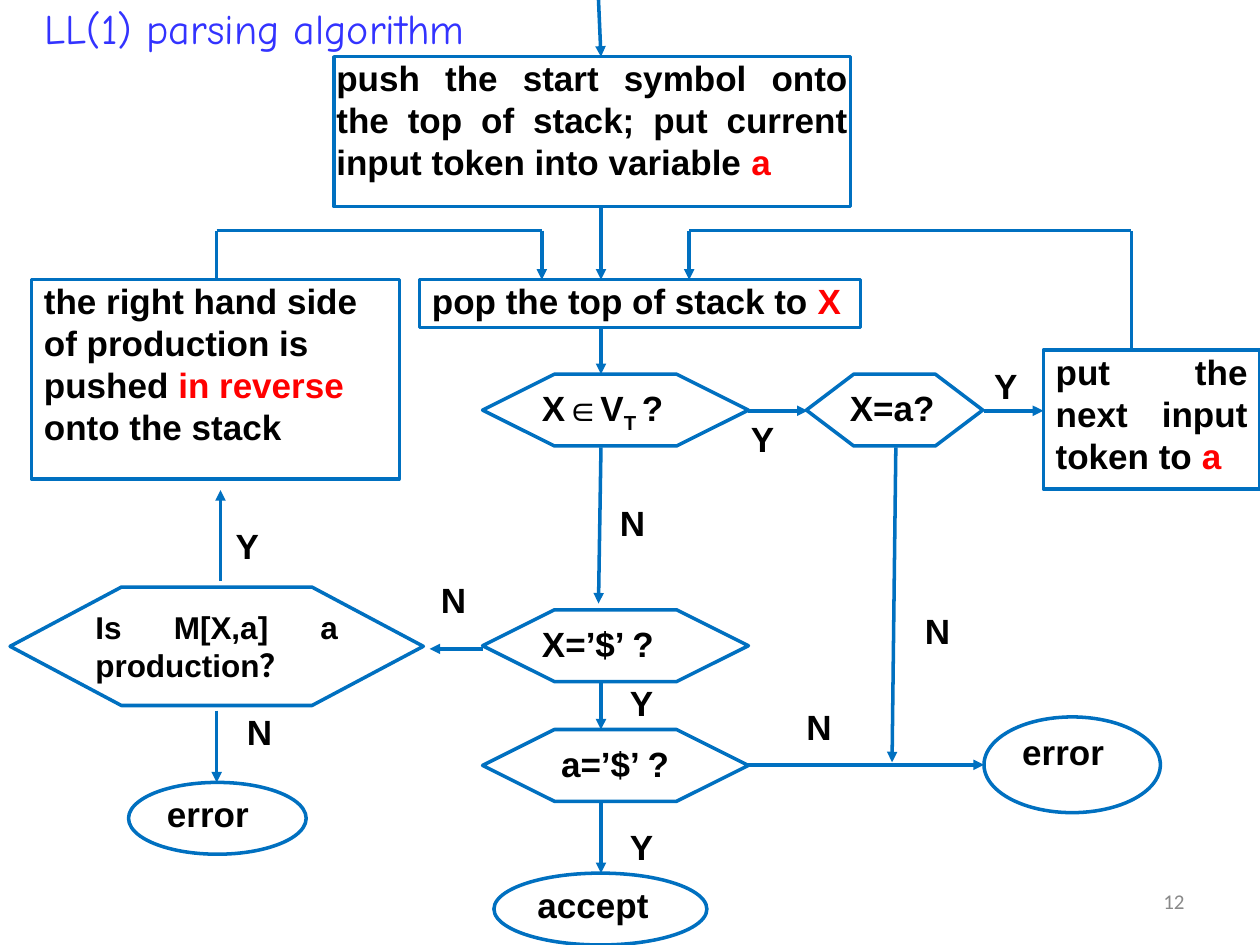
import itertools
from dataclasses import dataclass
from typing import Any

import pptx
import pptx.dml.color
import pptx.enum.shapes
import pptx.enum.text
import pptx.util
from lxml import etree
from pptx.oxml.ns import qn

BLUE = pptx.dml.color.RGBColor(0x00, 0x70, 0xC0)
BLACK = pptx.dml.color.RGBColor(0x00, 0x00, 0x00)
RED = pptx.dml.color.RGBColor(0xFF, 0x00, 0x00)
TITLE_BLUE = pptx.dml.color.RGBColor(0x33, 0x33, 0xFF)
GREY = pptx.dml.color.RGBColor(0x89, 0x89, 0x89)

SHAPE = pptx.enum.shapes.MSO_SHAPE
ALIGN = pptx.enum.text.PP_ALIGN
ANCHOR = pptx.enum.text.MSO_ANCHOR

COLUMNS, ROWS = 100, 75
CELL = 0.1  # inches, both ways


def grid(cells):
    return pptx.util.Inches(cells * CELL)


def write(box, paragraphs, size=20, font="Arial", bold=True, align=ALIGN.JUSTIFY,
          anchor=ANCHOR.TOP, inset=(1, 0)):
    """Fill a box; each paragraph is a list of (text, colour[, baseline]) spans."""
    frame = box.text_frame
    frame.word_wrap = True
    frame.vertical_anchor = anchor
    frame.margin_left = frame.margin_right = grid(inset[0])
    frame.margin_top = frame.margin_bottom = grid(inset[1])
    for number, spans in enumerate(paragraphs):
        para = frame.add_paragraph() if number else frame.paragraphs[0]
        para.alignment = align
        for text, colour, *baseline in spans:
            span = para.add_run()
            span.text = text
            span.font.name = font
            span.font.size = pptx.util.Pt(size)
            span.font.bold = bold
            span.font.color.rgb = colour
            if baseline:
                span.font._element.set("baseline", str(baseline[0] * 1000))


@dataclass
class Region:
    """Part of the page whose shapes are placed in cells from its corner."""
    page: Any
    left: float
    top: float

    def place(self, column, row):
        return grid(self.left + column), grid(self.top + row)

    def node(self, kind, box, paragraphs, point=None, **style):
        column, row, width, height = box
        shape = self.page.shapes.add_shape(
            kind, *self.place(column, row), grid(width), grid(height))
        shape.shadow.inherit = False
        shape.fill.background()
        shape.line.color.rgb = BLUE
        shape.line.width = pptx.util.Pt(2)
        if point:
            shape.adjustments[0] = point
        write(shape, paragraphs, **style)
        return shape

    def text(self, box, text, colour, **style):
        column, row, width, height = box
        shape = self.page.shapes.add_textbox(
            *self.place(column, row), grid(width), grid(height))
        write(shape, [[(text, colour)]], **style)

    def label(self, text, column, row):
        self.text((column, row, 2.3, 3.8), text, BLACK, inset=(0, 0))

    def route(self, *points):
        """Join the points by straight lines, with an arrowhead at the last."""
        for start, end in itertools.pairwise(points):
            line = self.page.shapes.add_connector(
                pptx.enum.shapes.MSO_CONNECTOR.STRAIGHT,
                *self.place(*start), *self.place(*end))
            line.line.color.rgb = BLUE
            line.line.width = pptx.util.Pt(2)
            properties = line._element.spPr
            if end == points[-1]:
                outline = properties.find(qn("a:ln"))
                etree.SubElement(outline, qn("a:tailEnd"), type="triangle")
            etree.SubElement(properties, qn("a:effectLst"))


def main_column(region):
    axis = 21.2
    region.node(SHAPE.RECTANGLE, (0, 4.5, 41, 11.9), [[
        ("push the start symbol onto the top of stack; "
         "put current input token into variable ", BLACK), ("a", RED)]],
        inset=(0.2, 0))
    region.node(SHAPE.RECTANGLE, (6.8, 22.2, 35, 3.8), [[
        ("pop the top of stack to ", BLACK), ("X", RED)]])
    questions = [
        (29.7, [("X∈V", BLACK), ("T ", BLACK, -25), ("?", BLACK)]),
        (48.4, [("X=’$’ ?", BLACK)]),
        (57.9, [("a=’$’ ?", BLACK)]),
    ]
    for row, spans in questions:
        question = region.node(SHAPE.HEXAGON, (11.8, row, 21.1, 5.7), [spans], point=1)
    question.text_frame.margin_left = grid(2.5)
    region.node(SHAPE.OVAL, (12.7, 69.3, 16.9, 5.7), [[("accept", BLACK)]])

    region.route((axis - 0.2, 0), (axis, 4.5))
    region.route((axis, 35.5), (axis - 0.2, 47.9))
    for start, end in [(16.4, 22.2), (26, 29.7), (54.1, 57.9), (63.6, 69.3)]:
        region.route((axis, start), (axis, end))
    region.label("N", 22.7, 39.8)
    region.label("Y", 23.5, 54.1)
    region.label("Y", 23.5, 65.5)


def production_branch(region):
    axis = 17.2
    region.node(SHAPE.RECTANGLE, (2.5, 3.9, 29.2, 15.8), [
        [("the right hand side", BLACK)],
        [("of production is", BLACK)],
        [("pushed ", BLACK), ("in reverse", RED)],
        [("onto the stack", BLACK)]])
    region.node(SHAPE.HEXAGON, (0.8, 28.3, 32.8, 9.4),
                [[("Is M[X,a] a production？", BLACK)]], point=0.94, size=18)
    region.node(SHAPE.OVAL, (10.2, 43.8, 14.1, 5.7), [[("error", BLACK)]])

    region.route((axis, 3.9), (axis, 0), (43, 0), (43, 3.9))
    region.route((axis + 0.3, 27.8), (axis + 0.3, 20.6))
    region.route((axis, 38.1), (axis, 43.8))
    region.route((38.3, 33.2), (34.1, 33.2))
    region.label("Y", 18.7, 23.3)
    region.label("N", 19.6, 38.1)
    region.label("N", 35, 27.6)


def terminal_branch(region):
    middle, bottom = 14.3, 42.4
    region.node(SHAPE.HEXAGON, (9.3, 11.4, 14, 5.7), [[("X=a?", BLACK)]], point=0.66)
    region.node(SHAPE.RECTANGLE, (28.1, 9.5, 17.2, 11), [[
        ("put the next input token to ", BLACK), ("a", RED)]])
    region.node(SHAPE.OVAL, (23.4, 38.6, 14, 7.6), [[("error", BLACK)]])

    region.route((35.1, 9.5), (35.1, 0), (0, 0), (0, 3.9))
    region.route((4.7, middle), (9.4, middle))
    region.route((23.4, middle), (28.1, middle))
    region.route((16.4, 17.2), (16.1, bottom - 0.2))
    region.route((4.7, bottom), (23.4, bottom))
    region.label("Y", 4.9, 14.8)
    region.label("Y", 24.2, 10.6)
    region.label("N", 18.7, 30.1)
    region.label("N", 9.3, 37.7)


def title_and_number(region):
    region.text((0, -0.3, 40.4, 6.3), "LL(1) parsing algorithm", TITLE_BLUE, size=24,
                font="Comic Neue", bold=False, align=ALIGN.CENTER, inset=(1, 0.5))
    region.text((71.7, 69.5, 23.3, 4), "12", GREY, size=12, font="Calibri", bold=False,
                align=ALIGN.RIGHT, anchor=ANCHOR.MIDDLE, inset=(1, 0.5))


def main():
    deck = pptx.Presentation()
    deck.slide_width, deck.slide_height = grid(COLUMNS), grid(ROWS)
    page = deck.slides.add_slide(deck.slide_layouts[6])
    main_column(Region(page, 26.5, 0))
    production_branch(Region(page, 0, 18.3))
    terminal_branch(Region(page, 54.7, 18.3))
    title_and_number(Region(page, 0, 0))
    deck.save("out.pptx")


if __name__ == "__main__":
    main()
